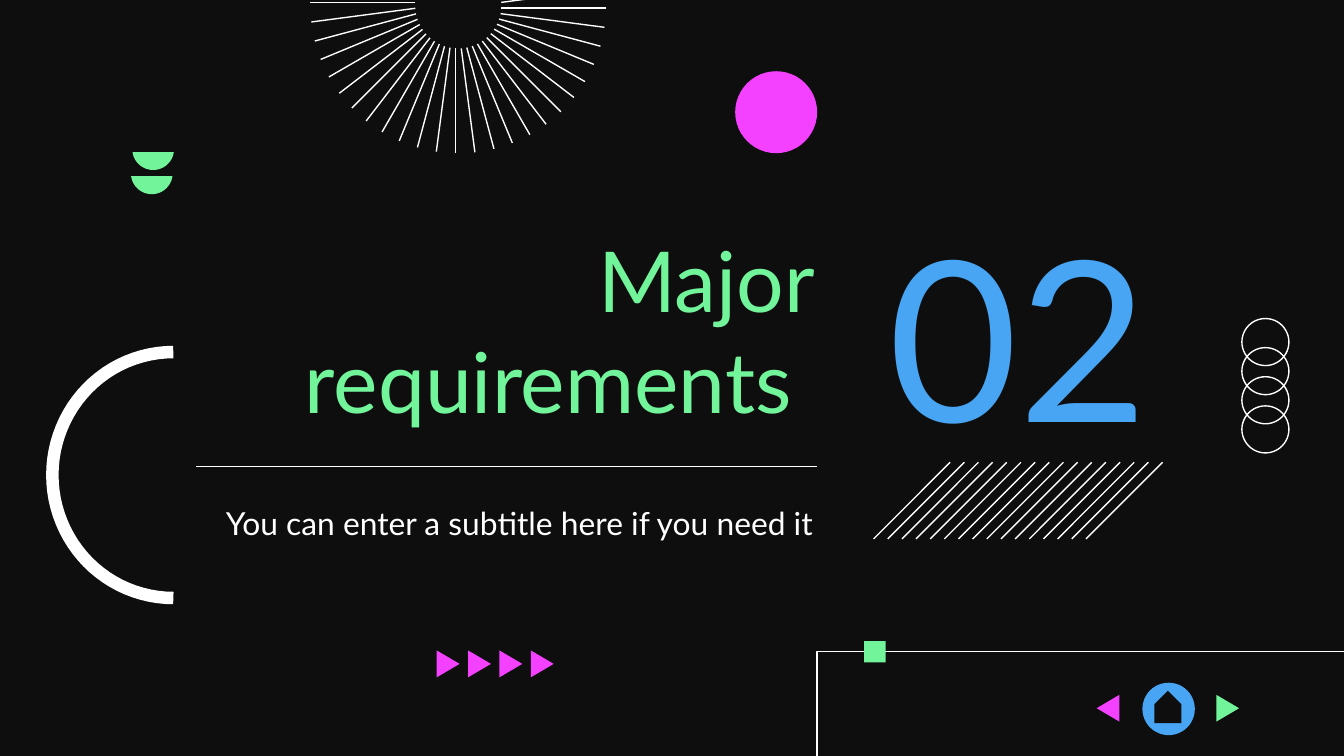
"""Build the section opener slide "02 Major requirements"."""
from math import cos, radians, sin

from lxml.etree import SubElement
from pptx import Presentation
from pptx.dml.color import RGBColor
from pptx.enum.shapes import MSO_CONNECTOR, MSO_SHAPE
from pptx.enum.text import MSO_ANCHOR, MSO_AUTO_SIZE, PP_ALIGN
from pptx.oxml.ns import qn
from pptx.util import Inches, Pt

WIDTH = 10
HEIGHT = WIDTH * 9 / 16
BLACK, WHITE = "0E0E0E", "FFFFFF"
PINK, GREEN, BLUE = "F341FF", "72F49A", "47A5F3"
FONT = "Lato"

TITLE = ("Major requirements ", 45, GREEN, PP_ALIGN.RIGHT, (1.22, 1.7, 4.93, 1.41), 0)
TEXTS = [
    ("02", 120, BLUE, PP_ALIGN.CENTER, (6.17, 1.48, 2.82, 1.75), 0),
    ("You can enter a subtitle here if you need it", 17, WHITE, PP_ALIGN.RIGHT,
     (1.22, 3.65, 4.93, 0.38), 0.1),
]
DIVIDER = ((1.46, 3.47), (6.08, 3.47))
FRAME = [(10.4, 4.85), (6.08, 4.85), (6.08, 8.25)]
RINGS = {"left": 9.24, "top": 2.37, "bottom": 3.02, "size": 0.35, "count": 4}
SUNBURST = {"center": (3.41, 0.04), "inner": 0.32, "outer": 1.1, "shift": 0.02,
            "step": 7.5, "first": -1, "last": 24}
HATCH = {"left": 6.5, "right": 8.08, "top": 3.44, "size": 0.57, "count": 16}
ARROWS = {"left": 3.25, "right": 3.95, "top": 4.84, "count": 4}
BOWLS = [(1.14, 1.13), (1.13, 1.31)]
TRIANGLE_WIDTH, TRIANGLE_HEIGHT = 0.17, 0.2


def color(value):
    return RGBColor.from_string(value)


def spread(first, last, count):
    return [first + (last - first) * index / (count - 1) for index in range(count)]


def paint(shape, fill=None, line=None, weight=0.75):
    shape.shadow.inherit = False
    if fill:
        shape.fill.solid()
        shape.fill.fore_color.rgb = color(fill)
    else:
        shape.fill.background()
    if line:
        shape.line.color.rgb = color(line)
        shape.line.width = Pt(weight)
    else:
        shape.line.fill.background()


def add_preset(slide, preset, box, **style):
    shape = slide.shapes.add_shape(preset, *map(Inches, box))
    paint(shape, **style)
    return shape


def add_outline(slide, points, close=True, **style):
    points = [(Inches(x), Inches(y)) for x, y in points]
    builder = slide.shapes.build_freeform(*points[0])
    builder.add_line_segments(points[1:], close=close)
    paint(builder.convert_to_shape(), **style)


def add_line(slide, start, end):
    line = slide.shapes.add_connector(
        MSO_CONNECTOR.STRAIGHT, *map(Inches, (*start, *end)))
    line.line.color.rgb = color(WHITE)
    line.line.width = Pt(0.75)
    SubElement(line._element.spPr, qn("a:effectLst"))


def arc(center, radius_x, radius_y, start, end):
    return [(center[0] + radius_x * cos(radians(angle)),
             center[1] + radius_y * sin(radians(angle)))
            for angle in spread(start, end, 49)]


def add_triangle(slide, left, top, fill, points_left=False):
    base, tip = left, left + TRIANGLE_WIDTH
    if points_left:
        base, tip = tip, base
    add_outline(slide, [(base, top), (tip, top + TRIANGLE_HEIGHT / 2),
                        (base, top + TRIANGLE_HEIGHT)], fill=fill)


def write(shape, text, size, text_color, alignment, box, inset):
    shape.left, shape.top, shape.width, shape.height = map(Inches, box)
    frame = shape.text_frame
    frame.word_wrap = True
    frame.auto_size = MSO_AUTO_SIZE.NONE
    frame.vertical_anchor = MSO_ANCHOR.TOP
    frame.margin_left = frame.margin_right = frame.margin_bottom = Inches(0.1)
    frame.margin_top = Inches(inset)
    paragraph = frame.paragraphs[0]
    paragraph.alignment = alignment
    paragraph.space_before = Pt(0)
    run = paragraph.add_run()
    run.text = text
    run.font.name = FONT
    run.font.size = Pt(size)
    run.font.color.rgb = color(text_color)


def add_sunburst(slide):
    center_x, center_y = SUNBURST["center"]
    shift = SUNBURST["shift"]
    for index in range(SUNBURST["first"], SUNBURST["last"] + 1):
        angle = radians(index * SUNBURST["step"])
        x, y = cos(angle), sin(angle)
        start, end = [
            (center_x + radius * x - shift * y, center_y + radius * y + shift * x)
            for radius in (SUNBURST["inner"], SUNBURST["outer"])]
        add_line(slide, start, end)


def add_hatch(slide):
    top, size = HATCH["top"], HATCH["size"]
    for left in spread(HATCH["left"], HATCH["right"], HATCH["count"]):
        add_line(slide, (left + size, top), (left, top + size))


def add_decoration(slide):
    for top in spread(RINGS["top"], RINGS["bottom"], RINGS["count"]):
        add_preset(slide, MSO_SHAPE.OVAL,
                   (RINGS["left"], top, RINGS["size"], RINGS["size"]), line=WHITE)
    add_preset(slide, MSO_SHAPE.OVAL, (5.47, 0.53, 0.61, 0.61), fill=PINK)
    add_outline(slide, FRAME, close=False, line=WHITE)
    add_preset(slide, MSO_SHAPE.RECTANGLE, (6.43, 4.77, 0.16, 0.16), fill=GREEN)
    for left in spread(ARROWS["left"], ARROWS["right"], ARROWS["count"]):
        add_triangle(slide, left, ARROWS["top"], PINK)
    for x, top in BOWLS:
        add_outline(slide, arc((x, top - 0.02), 0.155, 0.155, 8, 172), fill=GREEN)
    add_sunburst(slide)
    add_line(slide, *DIVIDER)
    add_outline(slide, arc((1.29, 3.535), 0.9, 0.915, 270, 90), close=False,
                line=WHITE, weight=6.69)
    add_hatch(slide)


def add_navigation(slide):
    add_preset(slide, MSO_SHAPE.OVAL, (8.5, 5.08, 0.39, 0.39), fill=BLUE)
    house = add_preset(slide, MSO_SHAPE.PENTAGON, (8.57, 5.16, 0.24, 0.2), fill=BLACK)
    house.rotation = 270
    add_triangle(slide, 8.16, 5.17, PINK, points_left=True)
    add_triangle(slide, 9.05, 5.17, GREEN)


def main():
    presentation = Presentation()
    presentation.slide_width, presentation.slide_height = Inches(WIDTH), Inches(HEIGHT)
    slide = presentation.slides.add_slide(presentation.slide_layouts[5])
    slide.background.fill.solid()
    slide.background.fill.fore_color.rgb = color(BLACK)
    write(slide.shapes.title, *TITLE)
    for text in TEXTS:
        write(slide.shapes.add_textbox(0, 0, 0, 0), *text)
    add_decoration(slide)
    add_navigation(slide)
    presentation.save("out.pptx")


if __name__ == "__main__":
    main()
